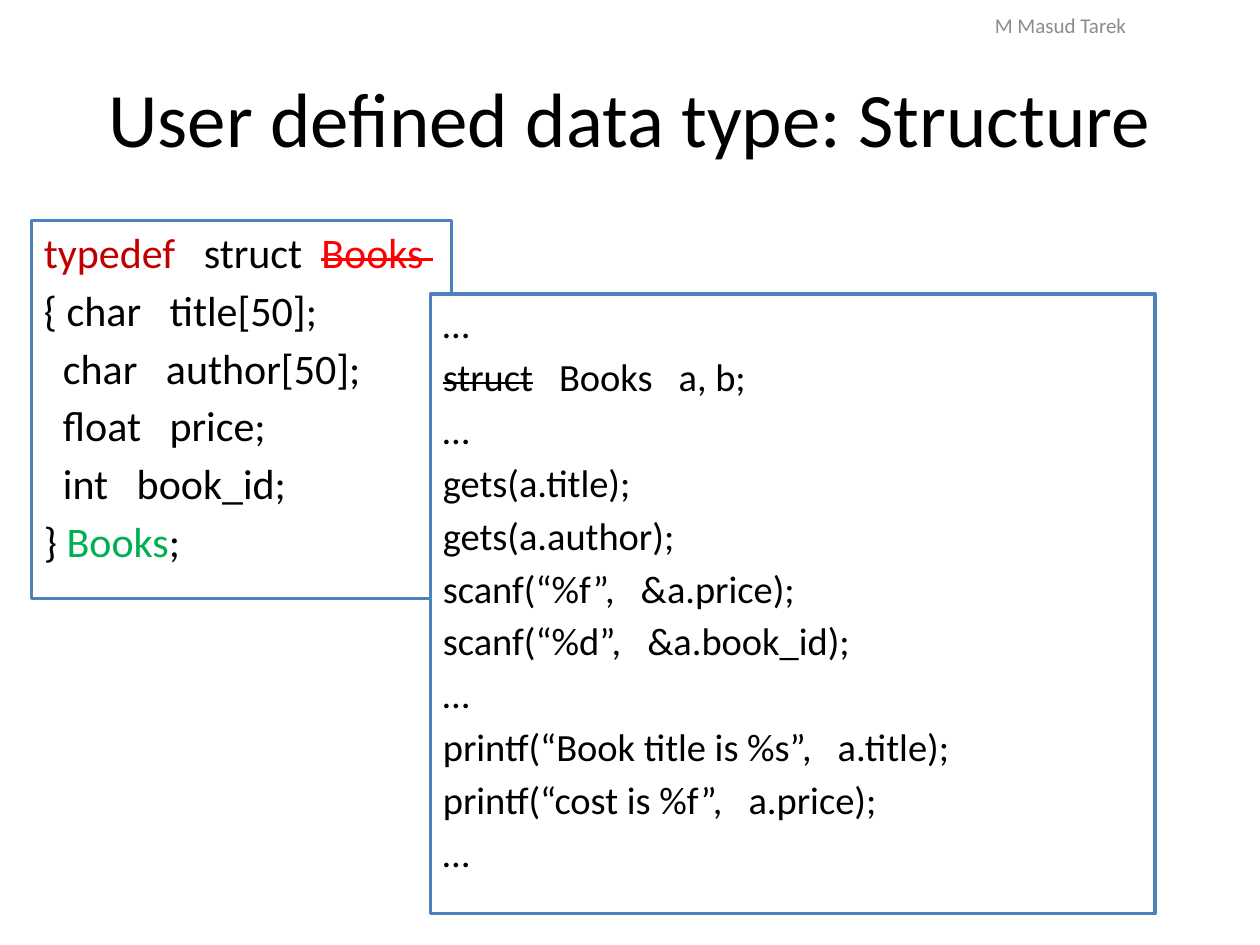
"""Build a slide that explains typedef structures in C with two overlapping code panels."""
from dataclasses import dataclass

from pptx import Presentation
from pptx import util as u
from pptx.dml.color import RGBColor
from pptx.enum import shapes, text


@dataclass(frozen=True)
class Theme:
    font: str = "Calibri"
    ink: str = "000000"
    paper: str = "FFFFFF"
    border: str = "4F81BD"
    keyword: str = "C00000"
    removed: str = "FF0000"
    added: str = "00B050"
    muted: str = "8C8C8C"
    title_size: int = 44
    struct_size: int = 24
    usage_size: int = 22
    author_size: int = 12
    border_width: int = 2
    line_gap: float = 0.175


theme = Theme()
COLUMNS, ROWS = 120, 90

deck = Presentation()
deck.slide_width, deck.slide_height = u.Inches(10), u.Inches(7.5)
page = deck.slides.add_slide(deck.slide_layouts[6])


def grid(left, top, width, height):
    column, row = deck.slide_width / COLUMNS, deck.slide_height / ROWS
    return [round(n) for n in (left * column, top * row, width * column, height * row)]


def write(box, lines, size, align, anchor, gap=0):
    frame = box.text_frame
    frame.word_wrap = True
    frame.vertical_anchor = anchor
    for index, line in enumerate(lines):
        para = frame.paragraphs[0] if index == 0 else frame.add_paragraph()
        para.alignment = align
        para.space_before = u.Pt(size * gap)
        for words, color, struck in line:
            span = para.add_run()
            span.text = words
            span.font.name = theme.font
            span.font.size = u.Pt(size)
            span.font.color.rgb = RGBColor.from_string(color)
            if struck:
                span.font._element.set("strike", "sngStrike")


labels = [
    ("User defined data type: Structure", (6, 3.6, 108, 15), theme.title_size, theme.ink),
    ("M Masud Tarek", (82, 0, 38, 4.8), theme.author_size, theme.muted),
]
for words, place, size, color in labels:
    box = page.shapes.add_textbox(*grid(*place))
    write(box, [[(words, color, False)]], size, text.PP_ALIGN.CENTER, text.MSO_ANCHOR.MIDDLE)

struct_lines = [
    [("typedef   ", theme.keyword, False), ("struct  ", theme.ink, False),
     ("Books ", theme.removed, True)],
    [("{ char   title[50];", theme.ink, False)],
    [("  char   author[50];", theme.ink, False)],
    [("  float   price;", theme.ink, False)],
    [("  int   book_id;", theme.ink, False)],
    [("} ", theme.ink, False), ("Books", theme.added, False), (";", theme.ink, False)],
]
usage_lines = [
    [("…", theme.ink, False)],
    [("struct", theme.ink, True), ("   Books   a, b;", theme.ink, False)],
    [("…", theme.ink, False)],
    [("gets(a.title);", theme.ink, False)],
    [("gets(a.author);", theme.ink, False)],
    [("scanf(“%f”,   &a.price);", theme.ink, False)],
    [("scanf(“%d”,   &a.book_id);", theme.ink, False)],
    [("…", theme.ink, False)],
    [("printf(“Book title is %s”,   a.title);", theme.ink, False)],
    [("printf(“cost is %f”,   a.price);", theme.ink, False)],
    [("…", theme.ink, False)],
]
panels = [
    (struct_lines, (3, 21, 40, 36), theme.struct_size),
    (usage_lines, (41, 28, 69, 59), theme.usage_size),
]
for lines, place, size in panels:
    box = page.shapes.add_shape(shapes.MSO_SHAPE.RECTANGLE, *grid(*place))
    box.shadow.inherit = False
    box.fill.solid()
    box.fill.fore_color.rgb = RGBColor.from_string(theme.paper)
    box.line.color.rgb = RGBColor.from_string(theme.border)
    box.line.width = u.Pt(theme.border_width)
    write(box, lines, size, text.PP_ALIGN.LEFT, text.MSO_ANCHOR.TOP, theme.line_gap)

deck.save("out.pptx")
